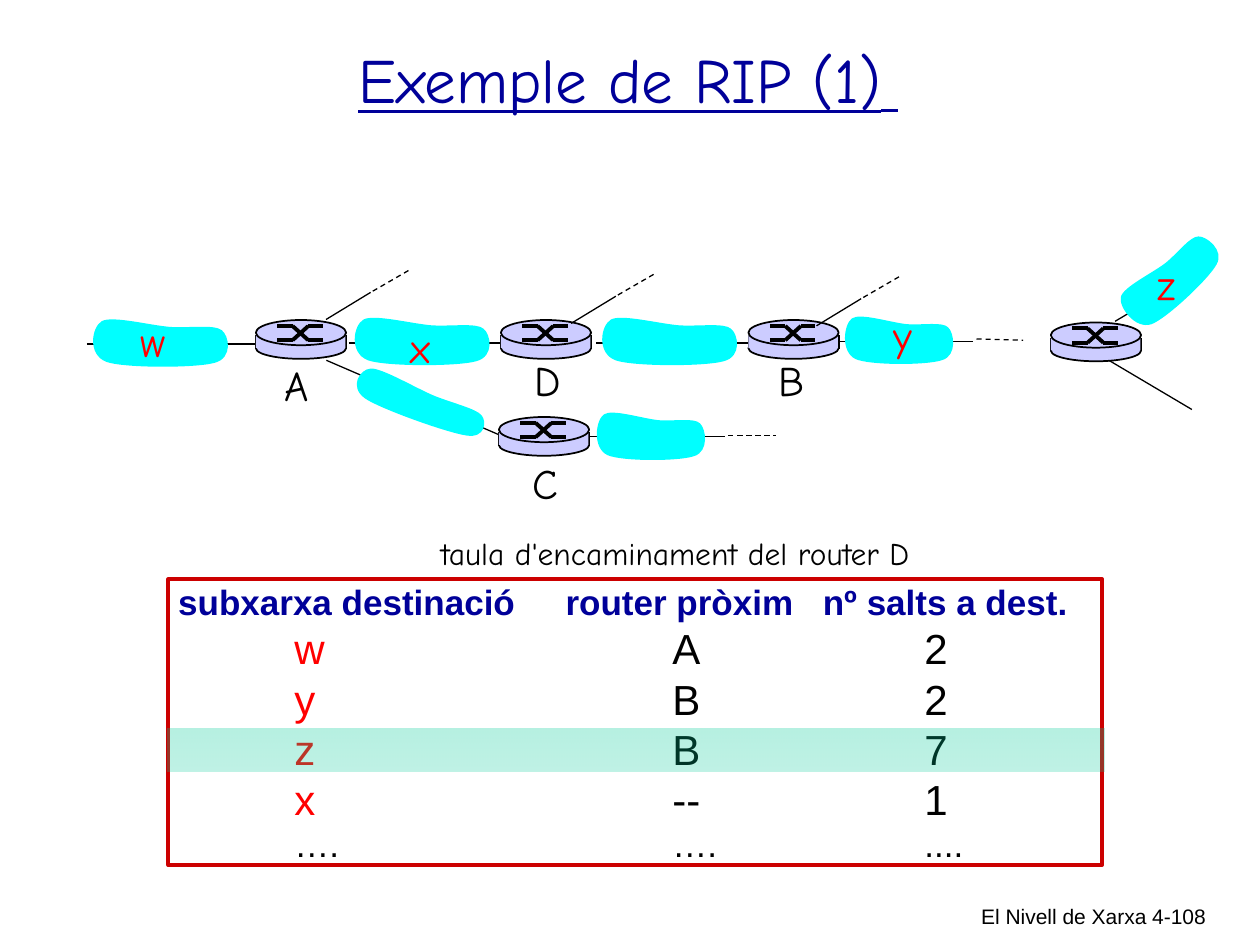
from lxml.etree import SubElement
from pptx import Presentation
from pptx.dml.color import RGBColor
from pptx.enum.dml import MSO_LINE
from pptx.enum.shapes import MSO_CONNECTOR, MSO_SHAPE
from pptx.enum.text import MSO_ANCHOR, MSO_AUTO_SIZE, PP_ALIGN
from pptx.oxml.ns import qn
from pptx.util import Pt

# Content
COLORS = {"navy": "000099", "black": "000000", "red": "FF0000", "frame": "CC0000",
          "cyan": "00FFFF", "lilac": "CCCCFF", "green": "00CC99"}
HAND, SANS = "Comic Neue", "Arial"
TITLE = "Exemple de RIP (1)"
CAPTION = "taula d'encaminament del router D"
FOOTER = [("El Nivell de Xarxa", 434.2, 228.2), ("4-108", 642.9, 53.3)]
HEADER = ("subxarxa destinació", "router pròxim", "nº salts a dest.")
ROUTES = [("w", "A", "2"), ("y", "B", "2"), ("z", "B", "7"), ("x", "--", "1")]
MORE = ("….", "….", "....")
HEADER_TABS, BODY_TABS = (5.6, 227, 374), (72, 288, 432)

# Network: positions in points
ROUTERS = [(146.2, 182.9), (286.2, 182.9), (427.7, 182.9), (285.1, 238.3), (600.5, 184.3)]
STUBS = [(186.3, 182.6), (326.4, 184.8), (466.6, 186.2)]
LINKS = [  # x1, y1, x2, y2, width
    (49.7, 196.6, 147.6, 196.6, 1), (199.4, 196, 297, 196, 1),
    (340.6, 196, 438.5, 196, 1), (478.8, 195.1, 555.8, 195.1, 0.75),
    (637.2, 183.6, 684.7, 155.5, 0.75), (633.6, 205.9, 681.1, 234, 0.75),
    (186.5, 205.9, 285.1, 248.4, 0.75), (337, 249.6, 414, 249.6, 0.75)]
DASHES = [(558, 193.7, 584.6, 194.4), (416.2, 249, 443.5, 249)]
SUBNETS = [  # x, y, width, height, rotation
    (199.4, 179.3, 83.5, 30.2, 0), (198.7, 218.9, 83.5, 22.3, 19.7),
    (49.9, 180.2, 83.5, 30.2, 0), (340.8, 179.3, 83.5, 30.2, 0),
    (480.2, 178.6, 67, 30.2, 0), (634.3, 144.5, 68.4, 30.2, 316.8),
    (338.4, 233.5, 67, 30.2, 0)]
LABELS = [  # text, x, y, width, colour
    ("w", 73.4, 176.6, 28.8, "red"), ("x", 227.5, 180, 25.9, "red"),
    ("y", 503.3, 173.5, 25.2, "red"), ("z", 654.5, 144, 24.5, "red"),
    ("A", 155.5, 201.9, 28.1, "black"), ("C", 297.4, 257.8, 28.8, "black"),
    ("D", 298.6, 199.2, 29.5, "black"), ("B", 437.8, 199, 28.8, "black")]

# Subnet outline: start and Bézier curves in a unit box
BLOB_START = (.57, .22)
BLOB_CURVES = [
    (.43, .19), (.17, 0), (.10, .11), (.03, .22), (0, .74), (.13, .88),
    (.25, 1), (.74, 1), (.87, .90), (1, .81), (.97, .38), (.92, .28),
    (.87, .17), (.71, .24), BLOB_START]
# Router symbol, relative to its top left corner
ICON_X, ICON_Y = (12.2, 21, 30, 38.2), (3.4, 11.5)


def rgb(name):
    return RGBColor.from_string(COLORS[name])


def write(p, text, font=HAND, size=24, color="black", bold=False, underline=False):
    r = p.add_run()
    r.text = text
    f = r.font
    f.name, f.size, f.bold, f.underline = font, Pt(size), bold, underline
    f.color.rgb = rgb(color)


def text_box(text, x, y, w, h, wrap=True, align=PP_ALIGN.LEFT,
             anchor=MSO_ANCHOR.TOP, **fmt):
    tf = s.shapes.add_textbox(Pt(x), Pt(y), Pt(w), Pt(h)).text_frame
    tf.word_wrap, tf.vertical_anchor = wrap, anchor
    if not wrap:
        tf.auto_size = MSO_AUTO_SIZE.SHAPE_TO_FIT_TEXT
    p = tf.paragraphs[0]
    p.alignment = align
    write(p, text, **fmt)
    return p


def line(shapes, x1, y1, x2, y2, width=0.75, dash=False):
    c = shapes.add_connector(MSO_CONNECTOR.STRAIGHT, Pt(x1), Pt(y1), Pt(x2), Pt(y2))
    c.line.color.rgb = rgb("black")
    c.line.width = Pt(width)
    if dash:
        c.line.dash_style = MSO_LINE.DASH
    SubElement(c._element.spPr, qn("a:effectLst"))


def paint(sp, fill, outline=None, width=1):
    sp.shadow.inherit = False
    if fill:
        sp.fill.solid()
        sp.fill.fore_color.rgb = rgb(fill)
    else:
        sp.fill.background()
    if outline:
        sp.line.color.rgb = rgb(outline)
        sp.line.width = Pt(width)
    else:
        sp.line.fill.background()


def shape(shapes, kind, x, y, w, h, fill=None, outline=None, width=1):
    sp = shapes.add_shape(kind, Pt(x), Pt(y), Pt(w), Pt(h))
    paint(sp, fill, outline, width)
    return sp


def router(x, y):
    g = s.shapes.add_group_shape().shapes
    shape(g, MSO_SHAPE.OVAL, x, y + 10, 51.6, 12.2, "lilac", "black")
    for side in (x, x + 51.6):
        line(g, side, y + 8.6, side, y + 16.5, 1)
    shape(g, MSO_SHAPE.RECTANGLE, x, y + 8.6, 51.1, 7.4, "lilac")
    shape(g, MSO_SHAPE.OVAL, x, y, 51.6, 14.4, "lilac", "black")
    xs = [x + dx for dx in ICON_X]
    for dy, end in (ICON_Y, ICON_Y[::-1]):
        line(g, xs[0], y + dy, xs[1], y + dy, 2.25)
        line(g, xs[1], y + dy, xs[2], y + end, 2.25)
        line(g, xs[2], y + end, xs[3], y + end, 2.25)


def stub(x, y):
    g = s.shapes.add_group_shape().shapes
    line(g, x, y, x + 25.5, y - 15.5)
    line(g, x + 26.7, y - 16.2, x + 48.5, y - 28.8, dash=True)


def subnet(x, y, w, h, rotation):
    def place(point):
        return Pt(x + point[0] * w), Pt(y + point[1] * h)

    fb = s.shapes.build_freeform(*place(BLOB_START))
    fb.add_line_segments([place(pt) for pt in BLOB_CURVES], close=True)
    sp = fb.convert_to_shape()
    paint(sp, "cyan")
    sp.rotation = rotation
    # Join each three segments into one cubic curve
    segments = list(sp._element.iter(qn("a:lnTo")))
    for i in range(0, len(segments), 3):
        first, *rest = segments[i:i + 3]
        curve = first.getparent().makeelement(qn("a:cubicBezTo"))
        first.addprevious(curve)
        for seg in (first, *rest):
            curve.append(seg[0])
            seg.getparent().remove(seg)


def table_row(p, values, tabs, height, first_color="black", **fmt):
    tab_list = SubElement(p._p.get_or_add_pPr(), qn("a:tabLst"))
    for pos in tabs:
        tab = SubElement(tab_list, qn("a:tab"))
        tab.set("pos", str(Pt(pos)))
        tab.set("algn", "l")
    p.alignment = PP_ALIGN.LEFT
    p.line_spacing = Pt(height)
    write(p, "\t" + values[0], font=SANS, color=first_color, **fmt)
    fmt.setdefault("color", first_color if fmt.get("bold") else "black")
    write(p, "\t" + "\t".join(values[1:]), font=SANS, **fmt)


def routing_table(x, y):
    sp = shape(s.shapes, MSO_SHAPE.RECTANGLE, x, y, 533.5, 163.4, None, "frame", 2.25)
    tf = sp.text_frame
    tf.word_wrap, tf.vertical_anchor = True, MSO_ANCHOR.TOP
    tf.margin_left = tf.margin_right = tf.margin_top = tf.margin_bottom = 0
    table_row(tf.paragraphs[0], HEADER, HEADER_TABS, 24.8, "navy", size=20, bold=True)
    for route in ROUTES:
        table_row(tf.add_paragraph(), route, BODY_TABS, 28.8, "red")
    table_row(tf.add_paragraph(), MORE, BODY_TABS, 23, size=20)


prs = Presentation()
prs.slide_width, prs.slide_height = Pt(720), Pt(540)
s = prs.slides.add_slide(prs.slide_layouts[6])

# Title and footer
p = text_box(TITLE, 32.4, 0, 653, 90, align=PP_ALIGN.CENTER, anchor=MSO_ANCHOR.MIDDLE,
             size=36, color="navy", underline=True)
write(p, " ", size=28, color="navy", underline=True)
for text, x, w in FOOTER:
    text_box(text, x, 512.6, w, 28, align=PP_ALIGN.RIGHT, font=SANS, size=12)

# Network diagram
for link in LINKS:
    line(s.shapes, *link)
for dash in DASHES:
    line(s.shapes, *dash, dash=True)
for net in SUBNETS:
    subnet(*net)
for pos in ROUTERS:
    router(*pos)
for pos in STUBS:
    stub(*pos)
for text, x, y, w, color in LABELS:
    text_box(text, x, y, w, 36, wrap=False, color=color)

# Routing table with one highlighted row
text_box(CAPTION, 244.8, 301.7, 283.7, 28.8, wrap=False, size=18)
routing_table(96.2, 331)
band = shape(s.shapes, MSO_SHAPE.RECTANGLE, 95.5, 416.2, 535.5, 24.5)
band.fill.gradient()
band.fill.gradient_angle = 270
for stop in band.fill.gradient_stops:
    stop.color.rgb = rgb("green")
for clr, alpha in zip(band._element.spPr.iter(qn("a:srgbClr")), (29, 25)):
    SubElement(clr, qn("a:alpha")).set("val", str(alpha * 1000))

prs.save("out.pptx")
